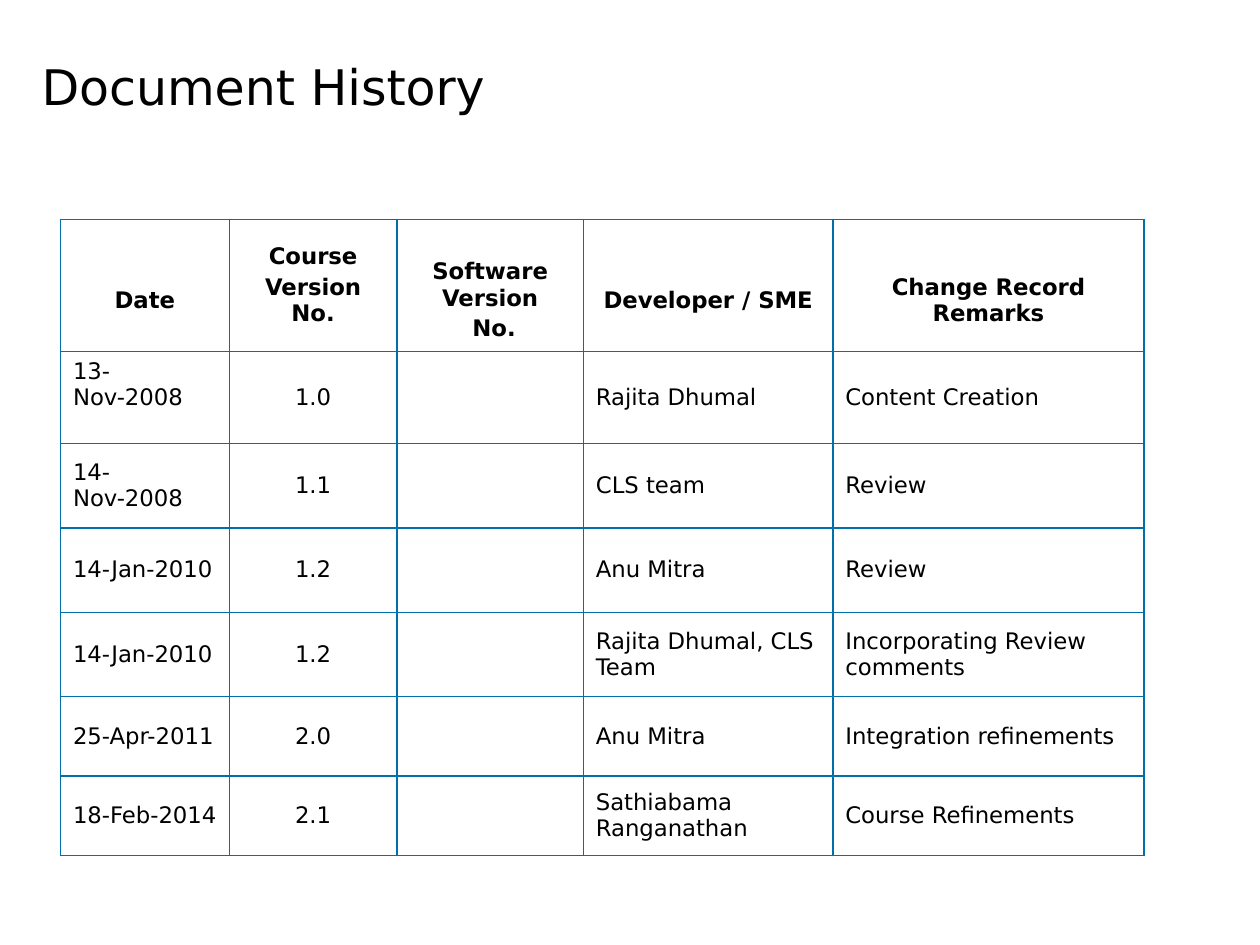
from lxml.etree import SubElement
from pptx import Presentation
from pptx.dml.color import RGBColor as RGB
from pptx.enum.text import MSO_ANCHOR as ANCHOR, PP_ALIGN as ALIGN
from pptx.oxml.ns import qn
from pptx.util import Inches, Pt

COLORS = {"text": "000000", "border": "0070AD"}

COLUMN_WIDTHS = [1.34, 1.33, 1.48, 1.98, 2.47]
ROW_HEIGHTS = [1.05, 0.73, 0.67, 0.67, 0.67, 0.63, 0.63]
CENTERED_COLUMNS = {1, 2}

HEADINGS = [
    ["Date"],
    ["Course", "Version No."],
    ["Software Version", " No."],
    ["Developer / SME"],
    ["Change Record Remarks"],
]
REVISIONS = [
    ("13-Nov-2008", "1.0", "", "Rajita Dhumal", "Content Creation"),
    ("14-Nov-2008", "1.1", "", "CLS team", "Review"),
    ("14-Jan-2010", "1.2", "", "Anu Mitra", "Review"),
    ("14-Jan-2010", "1.2", "", "Rajita Dhumal, CLS Team", "Incorporating Review comments"),
    ("25-Apr-2011", "2.0", "", "Anu Mitra", "Integration refinements"),
    ("18-Feb-2014", "2.1", "", "Sathiabama Ranganathan", "Course Refinements"),
]


class SlideBuilder:
    font = "DejaVu Sans"
    title_size = 28
    table_size = 13

    def __init__(self, slide):
        self.slide = slide

    def add_run(self, paragraph, text, size, bold=False):
        run = paragraph.add_run()
        run.text = text
        run.font.name = self.font
        run.font.size = Pt(size)
        run.font.bold = bold
        run.font.color.rgb = RGB.from_string(COLORS["text"])

    def title(self, text, left, top, width, height):
        title = self.slide.shapes.title
        title.left, title.top = Inches(left), Inches(top)
        title.width, title.height = Inches(width), Inches(height)
        frame = title.text_frame
        frame.margin_left = frame.margin_right = 0
        frame.margin_top = frame.margin_bottom = 0
        frame.vertical_anchor = ANCHOR.TOP
        frame.word_wrap = True
        paragraph = frame.paragraphs[0]
        paragraph.alignment = ALIGN.LEFT
        self.add_run(paragraph, text, self.title_size)

    def table(self, left, top, widths, heights):
        table = self.slide.shapes.add_table(
            len(heights), len(widths), Inches(left), Inches(top),
            Inches(sum(widths)), Inches(sum(heights))).table
        table.first_row = table.horz_banding = False
        for column, width in zip(table.columns, widths):
            column.width = Inches(width)
        for row, height in zip(table.rows, heights):
            row.height = Inches(height)
        return table

    def cell(self, cell, lines, centered=False, bold=False):
        cell.vertical_anchor = ANCHOR.MIDDLE
        self.borders(cell)
        cell.fill.background()
        frame = cell.text_frame
        for number, line in enumerate(lines):
            paragraph = frame.add_paragraph() if number else frame.paragraphs[0]
            paragraph.alignment = ALIGN.CENTER if centered else ALIGN.LEFT
            paragraph.space_before = Pt(0.2 * self.table_size)
            if line:
                self.add_run(paragraph, line, self.table_size, bold)

    def borders(self, cell):
        properties = cell._tc.get_or_add_tcPr()
        for side in ("lnL", "lnR", "lnT", "lnB"):
            line = SubElement(properties, qn(f"a:{side}"), w=str(Pt(1)))
            fill = SubElement(line, qn("a:solidFill"))
            SubElement(fill, qn("a:srgbClr"), val=COLORS["border"])


def main():
    deck = Presentation()
    deck.slide_width, deck.slide_height = Inches(10), Inches(7.5)
    builder = SlideBuilder(deck.slides.add_slide(deck.slide_layouts[5]))

    builder.title("Document History", 0.33, 0.45, 9.33, 0.94)
    history = builder.table(0.48, 1.74, COLUMN_WIDTHS, ROW_HEIGHTS)

    # Headings sit below the middle, except the course version
    for column, lines in enumerate(HEADINGS):
        heading = history.cell(0, column)
        builder.cell(heading, lines, centered=True, bold=True)
        if lines[0] != "Course":
            heading.margin_top = Inches(0.29)

    # Revisions
    for row, revision in enumerate(REVISIONS, start=1):
        for column, text in enumerate(revision):
            builder.cell(history.cell(row, column), [text], column in CENTERED_COLUMNS)

    # The first date sits above the middle of its row
    history.cell(1, 0).margin_bottom = Inches(0.26)

    deck.save("out.pptx")


if __name__ == "__main__":
    main()
